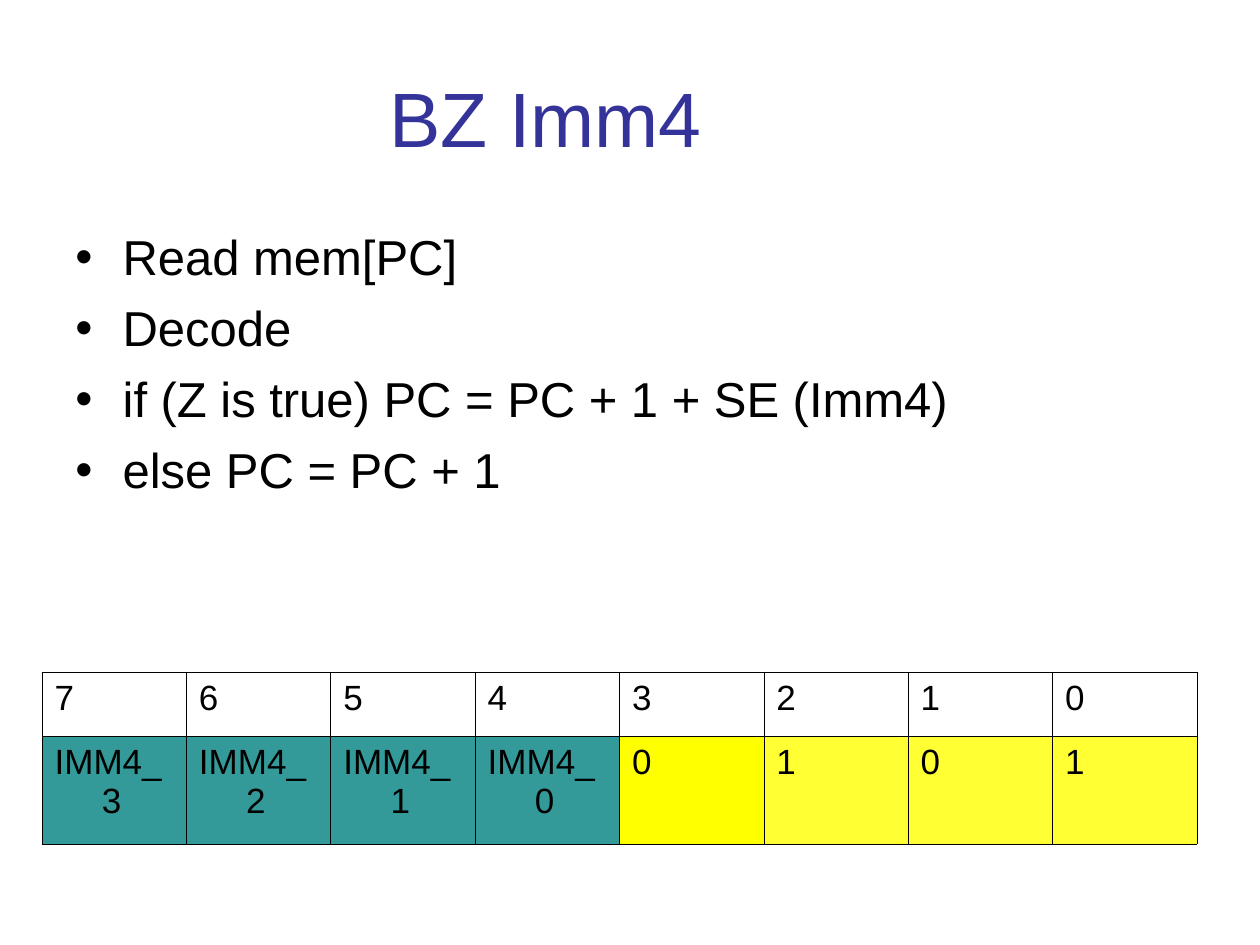
from dataclasses import dataclass

from lxml.etree import SubElement
from pptx import Presentation
from pptx.dml.color import RGBColor
from pptx.enum.text import MSO_ANCHOR, PP_ALIGN
from pptx.oxml.ns import qn
from pptx.util import Pt

BLACK = RGBColor(0x00, 0x00, 0x00)
INDIGO = RGBColor(0x33, 0x33, 0x99)
TEAL = RGBColor(0x33, 0x99, 0x99)
YELLOW = RGBColor(0xFF, 0xFF, 0x00)
SOFT_YELLOW = RGBColor(0xFF, 0xFF, 0x33)

HANGING = Pt(27)
BORDER = Pt(0.34)
COLUMN_WIDTH = Pt(82.5)
ROW_HEIGHTS = (Pt(36.75), Pt(61.5))


@dataclass
class Bit:
    number: int
    value: str
    fill: RGBColor


STEPS = (
    "Read mem[PC]",
    "Decode",
    "if (Z is true) PC = PC + 1 + SE (Imm4)",
    "else PC = PC + 1",
)
BITS = [Bit(number, f"IMM4_{number - 4}", TEAL) for number in (7, 6, 5, 4)] + [
    Bit(3, "0", YELLOW),
    Bit(2, "1", SOFT_YELLOW),
    Bit(1, "0", SOFT_YELLOW),
    Bit(0, "1", SOFT_YELLOW),
]


def set_values(target, values: dict) -> None:
    for name, value in values.items():
        setattr(target, name, value)


def write(para, text: str, size: int, color: RGBColor = BLACK) -> None:
    span = para.add_run()
    span.text = text
    set_values(span.font, {"name": "Arial", "size": Pt(size)})
    span.font.color.rgb = color


def hang(para):
    """Give the paragraph a hanging indent and return its properties."""
    properties = para._p.get_or_add_pPr()
    properties.set("marL", str(HANGING))
    properties.set("indent", str(-HANGING))
    return properties


def add_box(page, left: float, top: float, width: float, height: float, anchor):
    box = page.shapes.add_textbox(Pt(left), Pt(top), Pt(width), Pt(height))
    set_values(box.text_frame, {"word_wrap": True, "vertical_anchor": anchor})
    return box.text_frame


def add_title(page) -> None:
    para = add_box(page, 36, 21.6, 552, 90, MSO_ANCHOR.MIDDLE).paragraphs[0]
    para.alignment = PP_ALIGN.CENTER
    write(para, "BZ Imm4", 44, INDIGO)


def add_steps(page) -> None:
    frame = add_box(page, 36, 126, 618, 356.4, MSO_ANCHOR.TOP)
    for index, step in enumerate(STEPS):
        para = frame.add_paragraph() if index else frame.paragraphs[0]
        properties = hang(para)
        color = SubElement(properties, qn("a:buClr"))
        SubElement(color, qn("a:srgbClr"), val=str(BLACK))
        SubElement(properties, qn("a:buFont"), typeface="Arial")
        SubElement(properties, qn("a:buChar"), char="•")
        if index:
            para.space_before = Pt(7)
        write(para, step, 28)


def add_borders(cell) -> None:
    """Draw all four cell edges; the edges must precede the fill."""
    properties = cell._tc.get_or_add_tcPr()
    for edge in ("lnL", "lnR", "lnT", "lnB"):
        line = SubElement(properties, qn(f"a:{edge}"), w=str(BORDER))
        fill = SubElement(line, qn("a:solidFill"))
        SubElement(fill, qn("a:srgbClr"), val=str(BLACK))


def fill_cell(cell, text: str, fill: RGBColor | None) -> None:
    add_borders(cell)
    if fill is None:
        cell.fill.background()
    else:
        cell.fill.solid()
        cell.fill.fore_color.rgb = fill
    para = cell.text_frame.paragraphs[0]
    hang(para)
    write(para, text, 20)


def add_bit_table(page) -> None:
    frame = page.shapes.add_table(
        len(ROW_HEIGHTS), len(BITS), Pt(24), Pt(384),
        COLUMN_WIDTH * len(BITS), sum(ROW_HEIGHTS),
    )
    table = frame.table
    set_values(table, {"first_row": False, "horz_banding": False})
    for row, height in zip(table.rows, ROW_HEIGHTS):
        row.height = height
    for index, bit in enumerate(BITS):
        table.columns[index].width = COLUMN_WIDTH
        fill_cell(table.cell(0, index), str(bit.number), None)
        fill_cell(table.cell(1, index), bit.value, bit.fill)


def main() -> None:
    deck = Presentation()
    set_values(deck, {"slide_width": Pt(720), "slide_height": Pt(540)})
    page = deck.slides.add_slide(deck.slide_layouts[6])
    add_title(page)
    add_steps(page)
    add_bit_table(page)
    deck.save("out.pptx")


if __name__ == "__main__":
    main()
